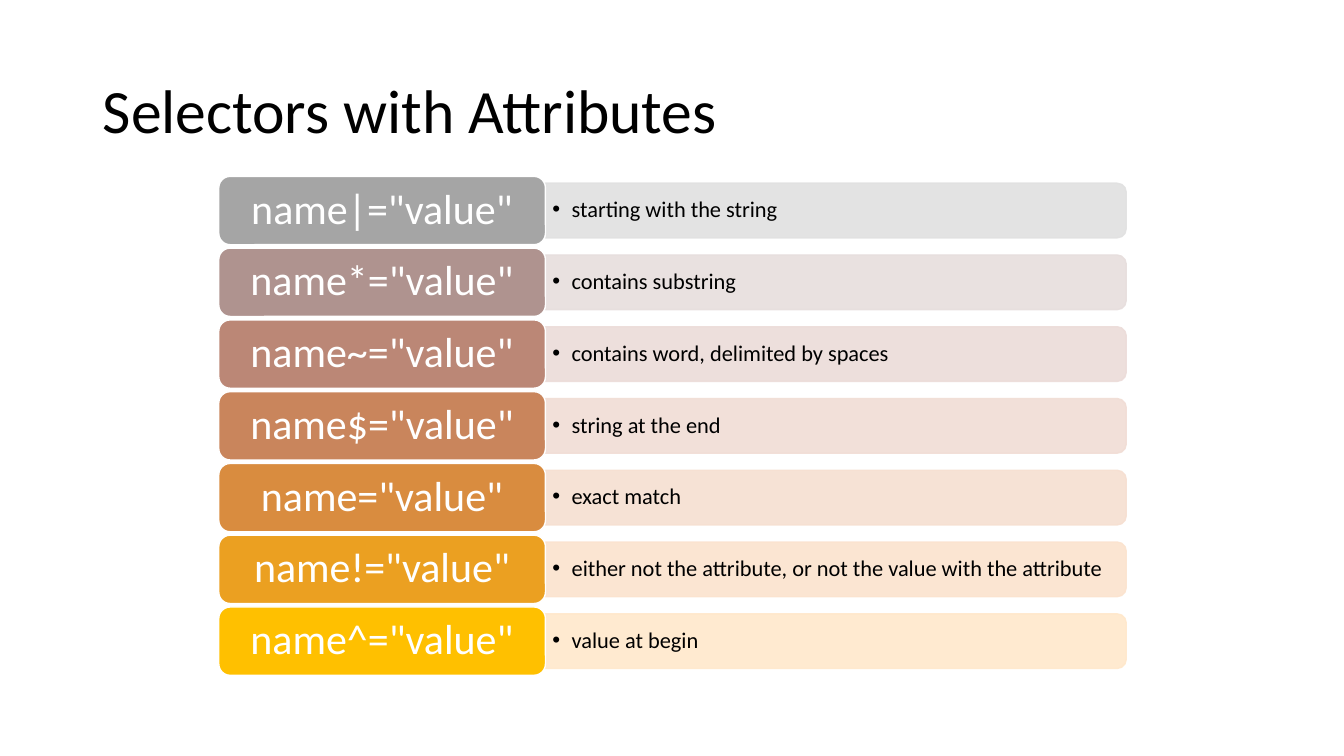
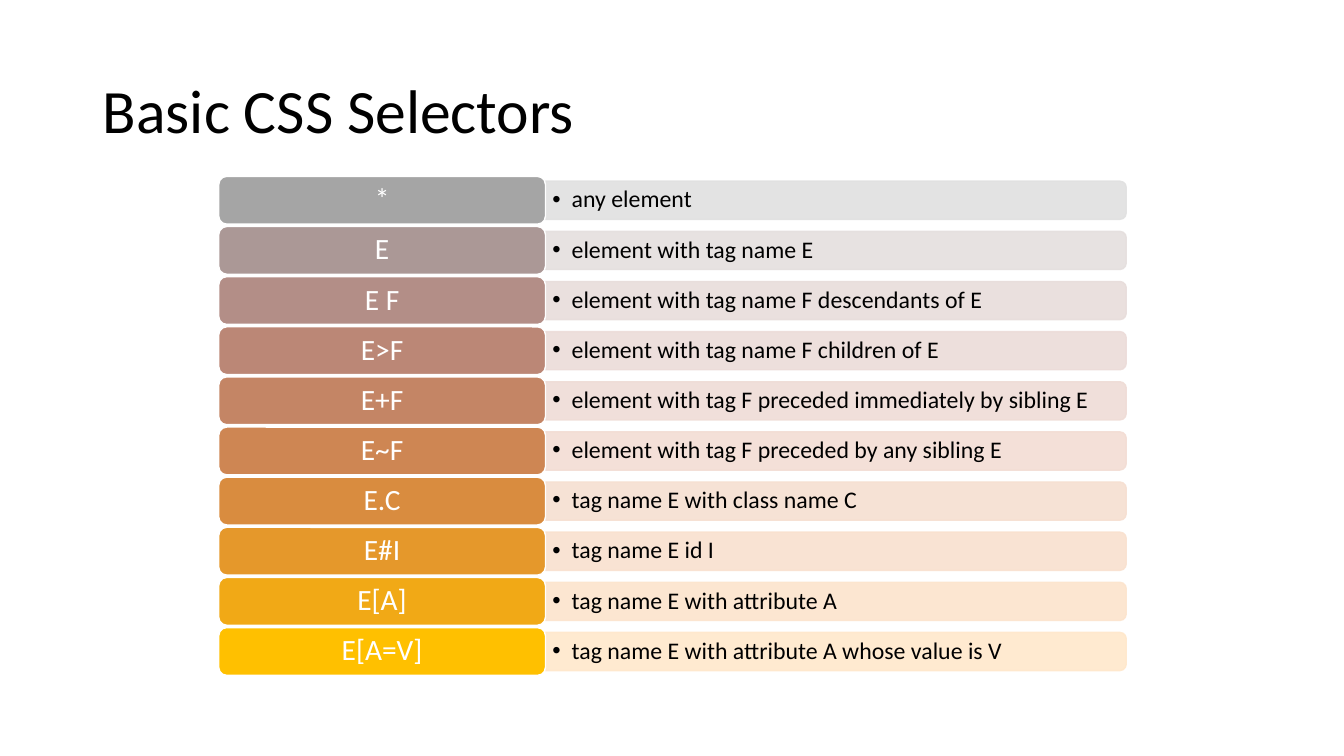
from colorsys import hls_to_rgb, rgb_to_hls

from lxml import etree
from pptx import Presentation
from pptx.dml.color import RGBColor
from pptx.enum.shapes import MSO_SHAPE
from pptx.enum.text import MSO_ANCHOR, PP_ALIGN
from pptx.oxml.ns import qn
from pptx.util import Inches, Pt

ROUND, TAB = MSO_SHAPE.ROUNDED_RECTANGLE, MSO_SHAPE.ROUND_2_SAME_RECTANGLE
MIDDLE = MSO_ANCHOR.MIDDLE
LEFT, CENTER = PP_ALIGN.LEFT, PP_ALIGN.CENTER

# Shared look
FONT = "Calibri"
BLACK, WHITE = RGBColor(0, 0, 0), RGBColor(255, 255, 255)
DARK = RGBColor(0xA5, 0xA5, 0xA5), RGBColor(0xFF, 0xC0, 0x00)
PALE = RGBColor(0xE1, 0xE1, 0xE1), RGBColor(0xFF, 0xE8, 0xCB)
ALPHA = "90000"

# Grid: one list of rows, split into a label and a bar column
WIDE, HIGH = 13.33, 7.5
X, Y, SPAN, DEPTH = 2.17, 1.75, 9, 4.95
LABEL = 0.36 * SPAN
BAR = SPAN - LABEL
GAP, THIN = 0.05, 0.8  # shares of a label's height
INDENT = Inches(0.19)

# Content: title, label size, text size, rows
SLIDES = [
    ("Selectors with Attributes", 30, 16, [
        ('name|="value"', "starting with the string"),
        ('name*="value"', "contains substring"),
        ('name~="value"', "contains word, delimited by spaces"),
        ('name$="value"', "string at the end"),
        ('name="value"', "exact match"),
        ('name!="value"', "either not the attribute, or not the value with the attribute"),
        ('name^="value"', "value at begin"),
    ]),
    ("Basic CSS Selectors", 21, 17, [
        ("*", "any element"),
        ("E", "element with tag name E"),
        ("E F", "element with tag name F descendants of E"),
        ("E>F", "element with tag name F children of E"),
        ("E+F", "element with tag F preceded immediately by sibling E"),
        ("E~F", "element with tag F preceded by any sibling E"),
        ("E.C", "tag name E with class name C"),
        ("E#I", "tag name E id I"),
        ("E[A]", "tag name E with attribute A"),
        ("E[A=V]", "tag name E with attribute A whose value is V"),
    ]),
]


def blend(ends, part):
    """Mix two colours by hue, lightness and saturation."""
    first, last = (rgb_to_hls(*(c / 255 for c in end)) for end in ends)
    mix = (a + (b - a) * part for a, b in zip(first, last))
    return RGBColor(*(round(255 * c) for c in hls_to_rgb(*mix)))


def box(x, y, w, h):
    return [Inches(v) for v in (x, y, w, h)]


def write(shape, text, size, color, align, inset=(0.1, 0.05)):
    frame = shape.text_frame
    frame.word_wrap = True
    frame.vertical_anchor = MIDDLE
    frame.margin_left = frame.margin_right = Inches(inset[0])
    frame.margin_top = frame.margin_bottom = Inches(inset[1])
    para = frame.paragraphs[0]
    para.text = text
    para.alignment = align
    para.line_spacing = 0.9
    para.font.name, para.font.size = FONT, Pt(size)
    para.font.color.rgb = color
    return para


def add_box(slide, kind, place, fill, line):
    shape = slide.shapes.add_shape(kind, *box(*place))
    shape.shadow.inherit = False
    shape.fill.solid()
    shape.fill.fore_color.rgb = fill
    shape.line.color.rgb = line
    shape.line.width = Pt(1)
    return shape


def add_bar(slide, mid, high, color):
    # The tab is laid out upright around its centre, then turned
    left = X + LABEL + (BAR - high) / 2
    bar = add_box(slide, TAB, (left, mid - BAR / 2, high, BAR), color, color)
    bar.rotation = 90
    for tint in bar.element.spPr.iter(qn("a:srgbClr")):
        etree.SubElement(tint, qn("a:alpha"), val=ALPHA)


def add_note(slide, mid, high, text, size):
    area = slide.shapes.add_textbox(*box(X + LABEL, mid - high / 2, BAR, high))
    para = write(area, text, size, BLACK, LEFT, (0.07, 0.03))
    props = para._p.get_or_add_pPr()
    props.set("marL", str(INDENT))
    props.set("indent", str(-INDENT))
    etree.SubElement(props, qn("a:buFont"), typeface="Arial")
    etree.SubElement(props, qn("a:buChar"), char="•")
    # Bullet marks must come before the default run style
    for style in props.findall(qn("a:defRPr")):
        props.append(style)


def add_rows(slide, rows, big, small):
    count = len(rows)
    high = DEPTH / (count + GAP * (count - 1))
    for i, (label, note) in enumerate(rows):
        part = i / (count - 1)
        top = Y + i * high * (1 + GAP)
        mid = top + high / 2
        add_bar(slide, mid, THIN * high, blend(PALE, part))
        add_note(slide, mid, THIN * high, note, small)
        tile = add_box(slide, ROUND, (X, top, LABEL, high), blend(DARK, part), WHITE)
        write(tile, label, big, WHITE, CENTER)


def add_title(slide, text):
    title = slide.shapes.title
    title.left, title.top, title.width, title.height = box(0.92, 0.4, 11.5, 1.45)
    write(title, text, 44, BLACK, LEFT)


def main():
    deck = Presentation()
    deck.slide_width, deck.slide_height = Inches(WIDE), Inches(HIGH)
    layout = deck.slide_layouts.get_by_name("Title Only")
    for title, big, small, rows in SLIDES:
        slide = deck.slides.add_slide(layout)
        add_title(slide, title)
        add_rows(slide, rows, big, small)
    deck.save("out.pptx")


if __name__ == "__main__":
    main()
